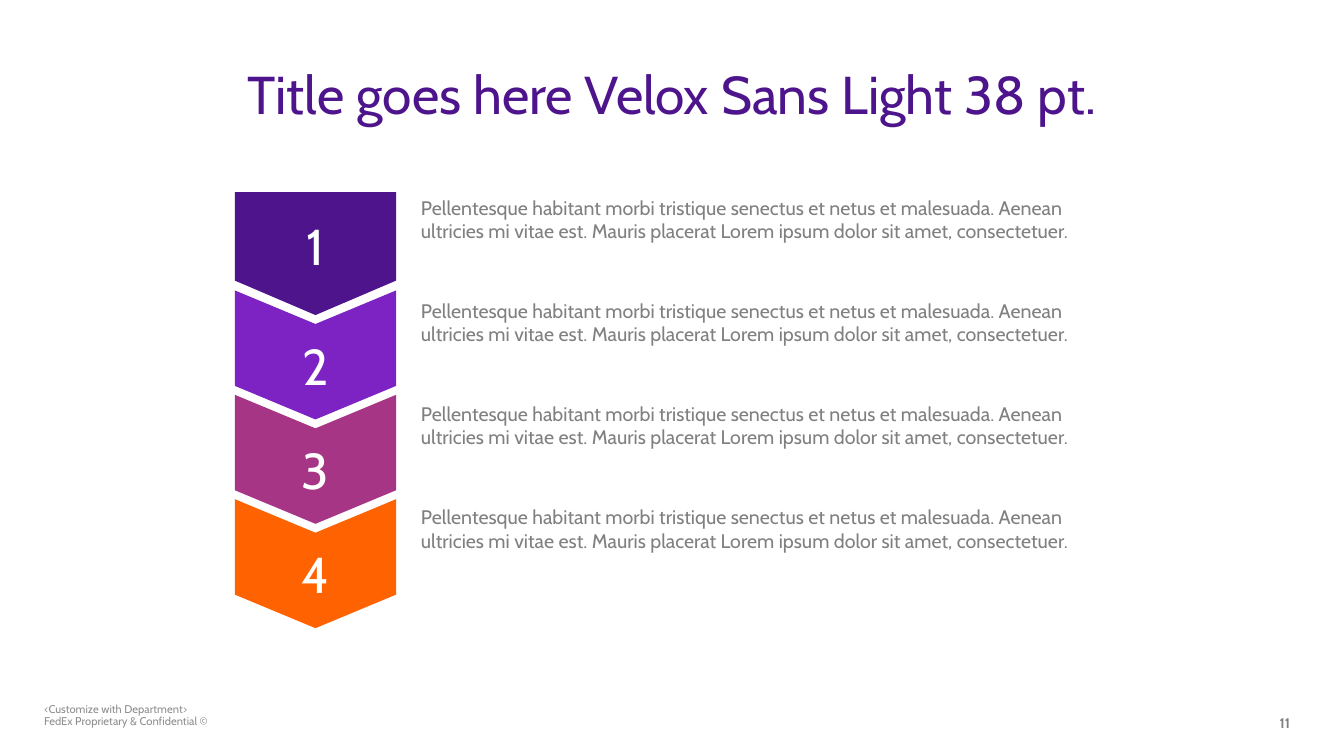
from pptx import Presentation, util as u
from pptx.dml.color import RGBColor
from pptx.enum import shapes, text

COLORS = {
    "title": "4D148C", "body": "808080", "footer": "8E8E8E", "number": "FFFFFF",
    "steps": ["4D148C", "7D22C3", "A63685", "FF6200"],
}
BODY = ("Pellentesque habitant morbi tristique senectus et netus et malesuada. "
        "Aenean ultricies mi vitae est. Mauris placerat Lorem ipsum dolor sit amet, "
        "consectetuer.")

SLIDE_WIDTH, SLIDE_HEIGHT = 33.87, 19.05
STEP_WIDTH, STEP_CENTER = 4.06, 7.95
FIRST_TIP, TIP_PITCH = 7.94, 2.63
FIRST_BODY, BODY_PITCH = 4.8, 2.6


class StepSlide:
    font_name = "Cabin"

    def __init__(self, deck):
        self.slide = deck.slides.add_slide(deck.slide_layouts[5])

    def style(self, paragraph, size, color, bold=False, align=text.PP_ALIGN.LEFT):
        paragraph.alignment = align
        font = paragraph.font
        font.name, font.size, font.bold = self.font_name, u.Pt(size), bold
        font.color.rgb = RGBColor.from_string(color)

    def title(self, wording, left, top, width, height):
        title = self.slide.shapes.title
        title.left, title.top = u.Cm(left), u.Cm(top)
        title.width, title.height = u.Cm(width), u.Cm(height)
        frame = title.text_frame
        frame.text = wording
        frame.auto_size = text.MSO_AUTO_SIZE.NONE
        frame.vertical_anchor = text.MSO_ANCHOR.TOP
        self.style(frame.paragraphs[0], 38, COLORS["title"], align=text.PP_ALIGN.CENTER)

    def label(self, wording, left, top, width, height, size, color, bold=False):
        box = self.slide.shapes.add_textbox(u.Cm(left), u.Cm(top), u.Cm(width), u.Cm(height))
        box.text_frame.word_wrap = True
        box.text_frame.text = wording
        paragraph = box.text_frame.paragraphs[0]
        self.style(paragraph, size, color, bold)
        return paragraph

    def step(self, number, kind, tip, length, point, color, inset=None):
        """Draw a downward arrow block whose tip is at the given height."""
        arrow = self.slide.shapes.add_shape(
            kind, u.Cm(STEP_CENTER - length / 2), u.Cm(tip - length / 2 - STEP_WIDTH / 2),
            u.Cm(length), u.Cm(STEP_WIDTH))
        arrow.rotation = 90
        arrow.adjustments[0] = point
        arrow.shadow.inherit = False
        arrow.fill.solid()
        arrow.fill.fore_color.rgb = RGBColor.from_string(color)
        arrow.line.fill.background()
        frame = arrow.text_frame
        frame.text = str(number)
        frame.word_wrap = False
        frame.vertical_anchor = text.MSO_ANCHOR.MIDDLE
        frame._txBody.bodyPr.set("vert", "vert270")
        if inset:
            frame.margin_left, frame.margin_top, frame.margin_right, frame.margin_bottom = (
                u.Cm(side) for side in inset)
        paragraph = frame.paragraphs[0]
        paragraph.space_after = u.Pt(6)
        self.style(paragraph, 36, COLORS["number"], align=text.PP_ALIGN.CENTER)


def main():
    deck = Presentation()
    deck.slide_width, deck.slide_height = u.Cm(SLIDE_WIDTH), u.Cm(SLIDE_HEIGHT)
    page = StepSlide(deck)
    page.title("Title goes here Velox Sans Light 38 pt.", 0, 1.42, SLIDE_WIDTH, 1.88)

    for index, color in enumerate(COLORS["steps"]):
        tip = FIRST_TIP + index * TIP_PITCH
        if index == 0:
            page.step(1, shapes.MSO_SHAPE.PENTAGON, tip, 3.1, 0.28, color)
        else:
            page.step(index + 1, shapes.MSO_SHAPE.CHEVRON, tip, 3.25, 0.26, color,
                      inset=(0.5, 0.25, 0, 0.25))
        page.label(BODY, 10.36, FIRST_BODY + index * BODY_PITCH, 17.96, 2.44,
                   14, COLORS["body"])

    footer = page.label("<Customize with Department>\vFedEx Proprietary & Confidential ©",
                        0.86, 17.6, 9.86, 0.76, 8, COLORS["footer"])
    footer.line_spacing = 0.9
    page.label("11", 32, 17.88, 1.02, 0.51, 10, COLORS["body"], bold=True)
    deck.save("out.pptx")


if __name__ == "__main__":
    main()
